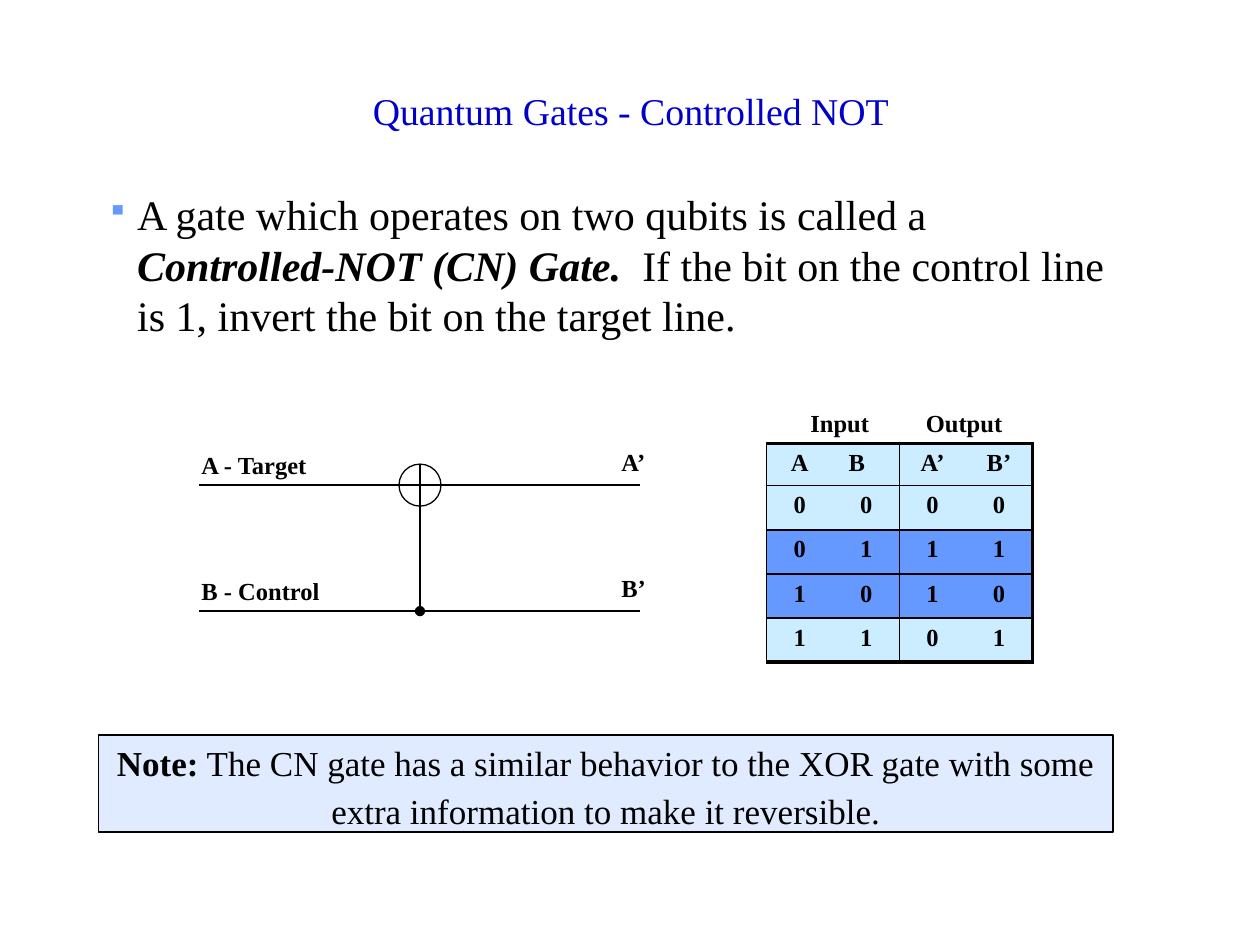
from lxml import etree
from pptx import Presentation
from pptx.dml.color import RGBColor
from pptx.enum.shapes import MSO_CONNECTOR, MSO_SHAPE
from pptx.enum.text import MSO_ANCHOR, PP_ALIGN
from pptx.oxml.ns import qn
from pptx.util import Inches, Pt

LINE = MSO_CONNECTOR.STRAIGHT
CENTER, LEFT = PP_ALIGN.CENTER, PP_ALIGN.LEFT
TOP, MIDDLE = MSO_ANCHOR.TOP, MSO_ANCHOR.MIDDLE
COLORS = {"title": "0000CC", "text": "000000", "accent": "6699FF",
          "cell": "CCECFF", "note": "E0EBFF"}
RGB = {name: RGBColor.from_string(value) for name, value in COLORS.items()}


def grid(*units):
    """Turn units of a 120 x 90 slide grid into lengths."""
    return [Inches(u / 12) for u in units]


def write(tf, runs, size, color="text", align=LEFT, anchor=TOP):
    """Fill a text frame with one paragraph of (text, bold, italic) runs."""
    tf.word_wrap = True
    tf.vertical_anchor = anchor
    p = tf.paragraphs[0]
    p.alignment = align
    p.font.name, p.font.size = "Times New Roman", Pt(size)
    p.font.color.rgb = RGB[color]
    for text, bold, italic in runs:
        r = p.add_run()
        r.text, r.font.bold, r.font.italic = text, bold, italic
    return p


prs = Presentation()
prs.slide_width, prs.slide_height = grid(120, 90)
s = prs.slides.add_slide(prs.slide_layouts[5])

# Title
title = s.shapes.title
title.left, title.top, title.width, title.height = grid(7, 8, 108, 5)
title.text_frame.margin_right = Inches(0.25)
write(title.text_frame, [("Quantum Gates - Controlled NOT", False, False)],
      21.6, "title", CENTER, MIDDLE)

# Definition with a square bullet
body = s.shapes.add_textbox(*grid(9, 17.4, 99.4, 15.6))
p = write(body.text_frame, [
    ("A gate which operates on two qubits is called a ", False, False),
    ("Controlled-NOT (CN) Gate.  ", True, True),
    ("If the bit on the control line is 1, invert the bit on the target line.",
     False, False)], 24)
p.line_spacing = 1.0
pPr = p._p.get_or_add_pPr()
pPr.set("marL", str(Inches(0.24)))
pPr.set("indent", str(-Inches(0.24)))
bullet_color = etree.Element(qn("a:buClr"))
etree.SubElement(bullet_color, qn("a:srgbClr"), val=COLORS["accent"])
bullet_size = etree.Element(qn("a:buSzPct"), val="70000")
bullet = etree.Element(qn("a:buChar"), char="▪")
pPr.find(qn("a:lnSpc")).addnext(bullet_color)
bullet_color.addnext(bullet_size)
bullet_size.addnext(bullet)

# Circuit: target gate, wires and control link
gate = s.shapes.add_shape(MSO_SHAPE.FLOWCHART_OR, *grid(38, 44.2, 4, 4))
gate.shadow.inherit = False
gate.fill.background()
gate.line.color.rgb, gate.line.width = RGB["text"], Pt(0.75)

target_y, control_y = 46.2, 58.2
for ends in [(38, target_y, 19, target_y), (61, target_y, 42, target_y),
             (19, control_y, 61, control_y), (40, 48.2, 40, control_y)]:
    wire = s.shapes.add_connector(LINE, *grid(*ends))
    wire.line.color.rgb, wire.line.width = RGB["text"], Pt(0.75)
    etree.SubElement(wire._element.spPr, qn("a:effectLst"))
# The last wire is the control link, which ends in a dot
link_line = wire._element.spPr.find(qn("a:ln"))
etree.SubElement(link_line, qn("a:tailEnd"), type="oval")

# Circuit and table labels
for text, x, y, width in [("A - Target", 18, 42.25, 15), ("A’", 58, 42, 6),
                          ("B - Control", 18, 54.25, 14), ("B’", 58, 54, 6),
                          ("Input", 76, 38.25, 9), ("Output", 87, 38.25, 11)]:
    label = s.shapes.add_textbox(*grid(x, y, width, 4))
    write(label.text_frame, [(text, True, False)], 14)

# Truth table
ROWS = [("A", "B", "A’", "B’"), "0000", "0111", "1010", "1101"]
frame = s.shapes.add_table(5, 4, *grid(73, 42.25, 25.32, 20.8))
table = frame.table
table.first_row = table.horz_banding = False
for col in table.columns:
    col.width = Inches(2.11 / 4)
for i, row in enumerate(ROWS):
    table.rows[i].height = Inches(0.35 if i else 0.33)
    for j, text in enumerate(row):
        cell = table.cell(i, j)
        cell.margin_top = cell.margin_bottom = Inches(0.05)
        write(cell.text_frame, [(text, True, False)], 14, align=CENTER)
        # Thick outside edges, thin rules, none inside each pair of columns
        borders = {"lnL": 0 if j % 2 else 1,
                   "lnR": 2.25 if j == 3 else j % 2,
                   "lnT": 1 if i else 2.25,
                   "lnB": 2.25 if i == 4 else 1}
        tcPr = cell._tc.get_or_add_tcPr()
        for tag, width in borders.items():
            ln = etree.SubElement(tcPr, qn("a:" + tag), w=str(Pt(width)))
            if width:
                fill = etree.SubElement(ln, qn("a:solidFill"))
                etree.SubElement(fill, qn("a:srgbClr"), val=COLORS["text"])
            else:
                etree.SubElement(ln, qn("a:noFill"))
        cell.fill.solid()
        cell.fill.fore_color.rgb = RGB["accent" if i in (2, 3) else "cell"]
table.cell(0, 1).margin_right = Inches(0.25)

# Note
note = s.shapes.add_shape(MSO_SHAPE.RECTANGLE, *grid(9.4, 70, 96.6, 9.25))
note.shadow.inherit = False
note.fill.solid()
note.fill.fore_color.rgb = RGB["note"]
note.line.color.rgb, note.line.width = RGB["text"], Pt(0.75)
note.text_frame.margin_top = note.text_frame.margin_bottom = Inches(0.01)
p = write(note.text_frame, [
    ("Note:", True, False),
    (" The CN gate has a similar behavior to the XOR gate with some extra "
     "information to make it reversible.", False, False)], 20, align=CENTER)
p.line_spacing = 1.13

prs.save("out.pptx")
